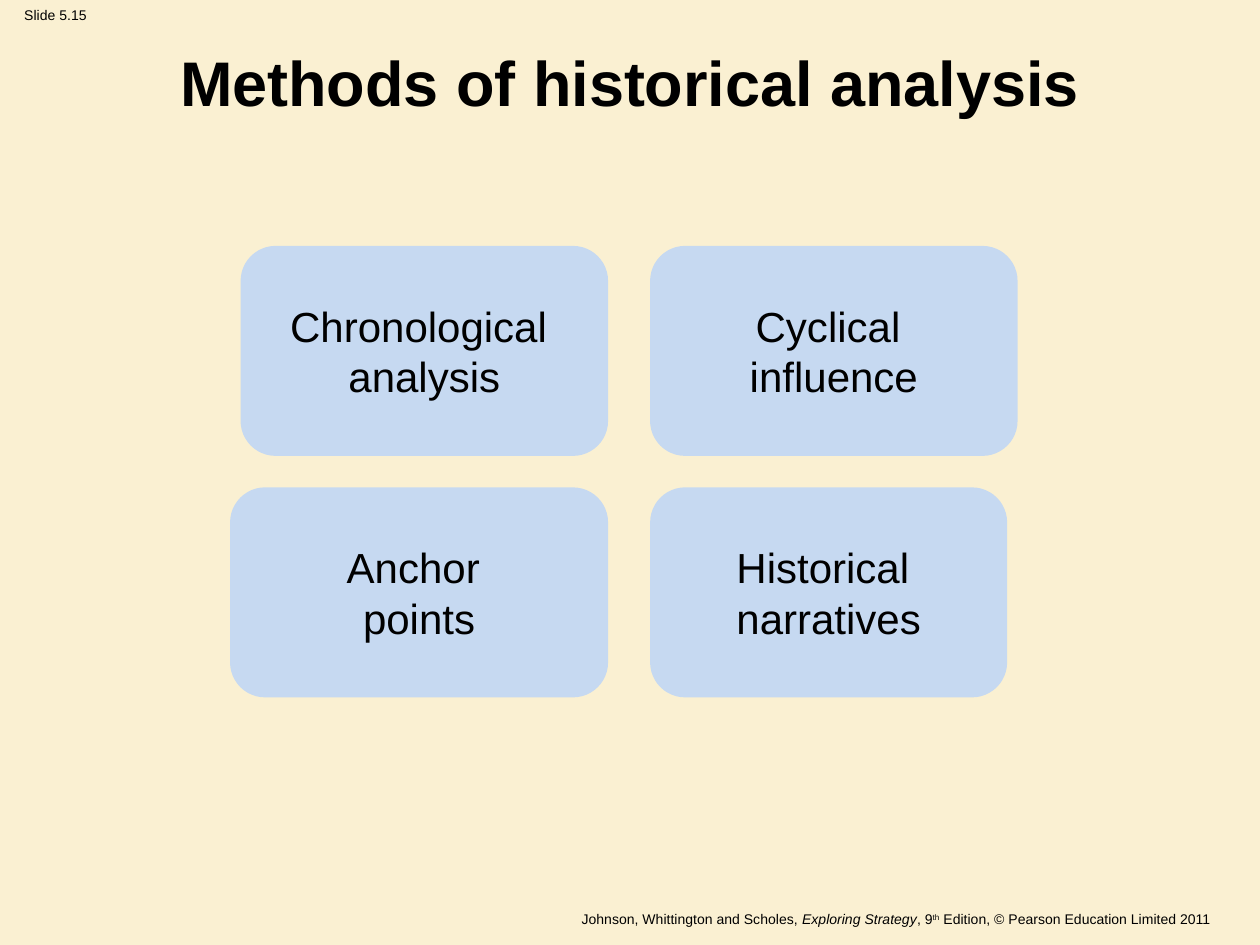
"""Build the slide on methods of historical analysis."""
from pptx import Presentation
from pptx.dml.color import RGBColor
from pptx.enum.shapes import MSO_SHAPE as SHAPE
from pptx.enum.text import MSO_ANCHOR as ANCHOR, PP_ALIGN as ALIGN
from pptx.util import Pt

CREAM = RGBColor(0xFA, 0xF0, 0xD2)
BLUE = RGBColor(0xC6, 0xD9, 0xF1)
BLACK = RGBColor(0, 0, 0)

NUMBER = "Slide 5.15"
TITLE = "Methods of historical analysis"
CREDIT = [
    ("Johnson, Whittington and Scholes, ", ""),
    ("Exploring Strategy", "italic"),
    (", 9", ""),
    ("th", "super"),
    (" Edition, © Pearson Education Limited 2011", ""),
]
METHODS = [
    [(["Chronological ", "analysis"], 210), (["Cyclical ", "influence"], 210)],
    [(["Anchor ", "points"], 216), (["Historical ", "narratives"], 204)],
]
LEFT_COLUMN_END, COLUMN_GAP = 347.5, 24
TOP, HEIGHT, ROW_GAP = 140.5, 120, 18


def write(sp, lines, size, align=ALIGN.CENTER, anchor=ANCHOR.TOP, wrap=True, bold=False):
    """Fill a shape with lines, each a string or a list of (text, style) runs."""
    tf = sp.text_frame
    tf.word_wrap, tf.vertical_anchor = wrap, anchor
    for i, line in enumerate(lines):
        p = tf.add_paragraph() if i else tf.paragraphs[0]
        p.alignment = align
        for text, style in [(line, "")] if isinstance(line, str) else line:
            r = p.add_run()
            r.text = text
            r.font.name, r.font.size, r.font.bold = "Arial", Pt(size), bold
            r.font.color.rgb = BLACK
            if style == "italic":
                r.font.italic = True
            elif style == "super":
                r.font._element.set("baseline", "30000")


prs = Presentation()
prs.slide_width, prs.slide_height = Pt(720), Pt(540)
s = prs.slides.add_slide(prs.slide_layouts[6])
s.background.fill.solid()
s.background.fill.fore_color.rgb = CREAM

number = s.shapes.add_textbox(Pt(0), Pt(0), Pt(63.5), Pt(17))
write(number, [NUMBER], 8, wrap=False)
credit = s.shapes.add_textbox(Pt(18.5), Pt(517), Pt(680.5), Pt(15))
write(credit, [CREDIT], 8, align=ALIGN.RIGHT)
title = s.shapes.add_textbox(Pt(36), Pt(21), Pt(648), Pt(50.5))
write(title, [TITLE], 36, anchor=ANCHOR.MIDDLE, bold=True)

for row, methods in enumerate(METHODS):
    top = TOP + row * (HEIGHT + ROW_GAP)
    for col, (lines, width) in enumerate(methods):
        left = LEFT_COLUMN_END + COLUMN_GAP if col else LEFT_COLUMN_END - width
        sp = s.shapes.add_shape(SHAPE.ROUNDED_RECTANGLE, Pt(left), Pt(top), Pt(width), Pt(HEIGHT))
        sp.shadow.inherit = False
        sp.fill.solid()
        sp.fill.fore_color.rgb = BLUE
        sp.line.fill.background()
        write(sp, lines, 24, anchor=ANCHOR.MIDDLE, wrap=False)

prs.save("out.pptx")
